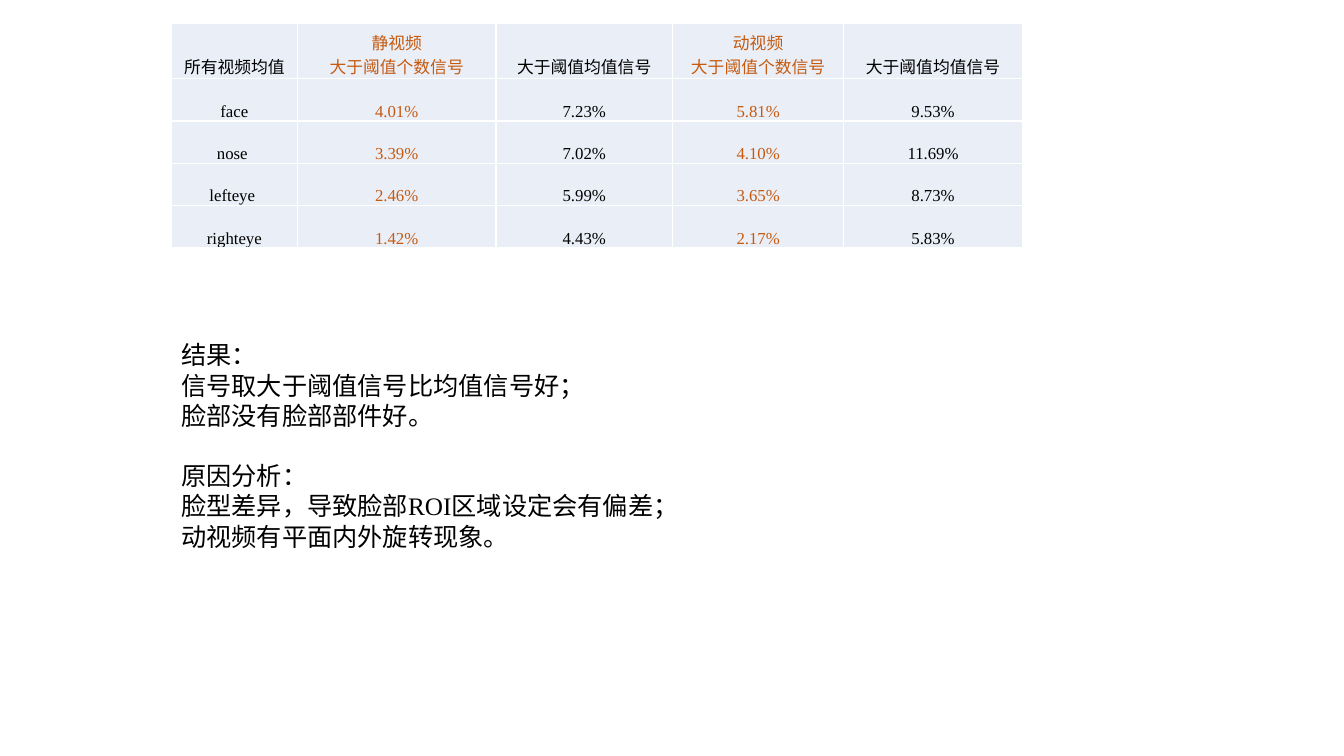
import pptx
import pptx.dml.color
import pptx.enum.text
import pptx.oxml
import pptx.oxml.ns
import pptx.util
from dataclasses import dataclass

COUNT_SIGNAL = "大于阈值个数信号"
MEAN_SIGNAL = "大于阈值均值信号"
RESULTS = [
    ("所有视频均值", "静视频\n" + COUNT_SIGNAL, MEAN_SIGNAL,
     "动视频\n" + COUNT_SIGNAL, MEAN_SIGNAL),
    ("face", "4.01%", "7.23%", "5.81%", "9.53%"),
    ("nose ", "3.39%", "7.02%", "4.10%", "11.69%"),
    ("lefteye ", "2.46%", "5.99%", "3.65%", "8.73%"),
    ("righteye", "1.42%", "4.43%", "2.17%", "5.83%"),
]
HIGHLIGHTED_COLUMNS = (1, 3)
FINDINGS = [
    ("结果：", "信号取大于阈值信号比均值信号好；", "脸部没有脸部部件好。"),
    ("原因分析：", "脸型差异，导致脸部ROI区域设定会有偏差；", "动视频有平面内外旋转现象。"),
]

EMU_PER_PX = 9144
SLIDE_SIZE = (1333, 750)
LEFT = 170
TABLE_TOP = 23
COLUMN_WIDTHS = (125, 197, 175, 170, 177)
HEADER_HEIGHT, ROW_HEIGHT = 55, 42
FINDINGS_BOX = (LEFT, 332, 518, 343)


@dataclass(frozen=True)
class Theme:
    font: str = "Times New Roman"
    text: str = "000000"
    highlight: str = "C55A11"
    cell: str = "EAEFF7"
    border: str = "FFFFFF"
    table_size: int = 12
    findings_size: int = 18
    section_gap: float = 21.6


THEME = Theme()


def px(length):
    return pptx.util.Emu(length * EMU_PER_PX)


def rgb(color):
    return pptx.dml.color.RGBColor.from_string(color)


def style(paragraph, size, color):
    paragraph.font.name = THEME.font
    paragraph.font.size = pptx.util.Pt(size)
    paragraph.font.color.rgb = rgb(color)


def add_borders(cell):
    properties = cell._tc.get_or_add_tcPr()
    for side in "LRTB":
        properties.append(pptx.oxml.parse_xml(
            f'<a:ln{side} {pptx.oxml.ns.nsdecls("a")} w="{pptx.util.Pt(1)}">'
            f'<a:solidFill><a:srgbClr val="{THEME.border}"/></a:solidFill>'
            f'</a:ln{side}>'))


def fill_cell(cell, text, color):
    add_borders(cell)
    cell.fill.solid()
    cell.fill.fore_color.rgb = rgb(THEME.cell)
    cell.margin_left = cell.margin_right = cell.margin_top = px(1)
    cell.margin_bottom = 0
    cell.vertical_anchor = pptx.enum.text.MSO_ANCHOR.BOTTOM
    cell.text = text
    for paragraph in cell.text_frame.paragraphs:
        paragraph.alignment = pptx.enum.text.PP_ALIGN.CENTER
        style(paragraph, THEME.table_size, color)


def add_results(slide):
    heights = [HEADER_HEIGHT] + [ROW_HEIGHT] * (len(RESULTS) - 1)
    results = slide.shapes.add_table(
        len(RESULTS), len(COLUMN_WIDTHS), px(LEFT), px(TABLE_TOP),
        px(sum(COLUMN_WIDTHS)), px(sum(heights))).table
    results.first_row = results.horz_banding = False
    for column, width in zip(results.columns, COLUMN_WIDTHS):
        column.width = px(width)
    for r, (values, height) in enumerate(zip(RESULTS, heights)):
        results.rows[r].height = px(height)
        for c, value in enumerate(values):
            color = THEME.highlight if c in HIGHLIGHTED_COLUMNS else THEME.text
            fill_cell(results.cell(r, c), value, color)


def add_findings(slide):
    findings = slide.shapes.add_textbox(*map(px, FINDINGS_BOX)).text_frame
    findings.word_wrap = False
    findings.text = "\n".join(line for section in FINDINGS for line in section)
    for paragraph in findings.paragraphs:
        style(paragraph, THEME.findings_size, THEME.text)
    second_section = findings.paragraphs[len(FINDINGS[0])]
    second_section.space_before = pptx.util.Pt(THEME.section_gap)


def main():
    deck = pptx.Presentation()
    deck.slide_width, deck.slide_height = map(px, SLIDE_SIZE)
    slide = deck.slides.add_slide(deck.slide_layouts[6])
    add_results(slide)
    add_findings(slide)
    deck.save("out.pptx")


if __name__ == "__main__":
    main()
